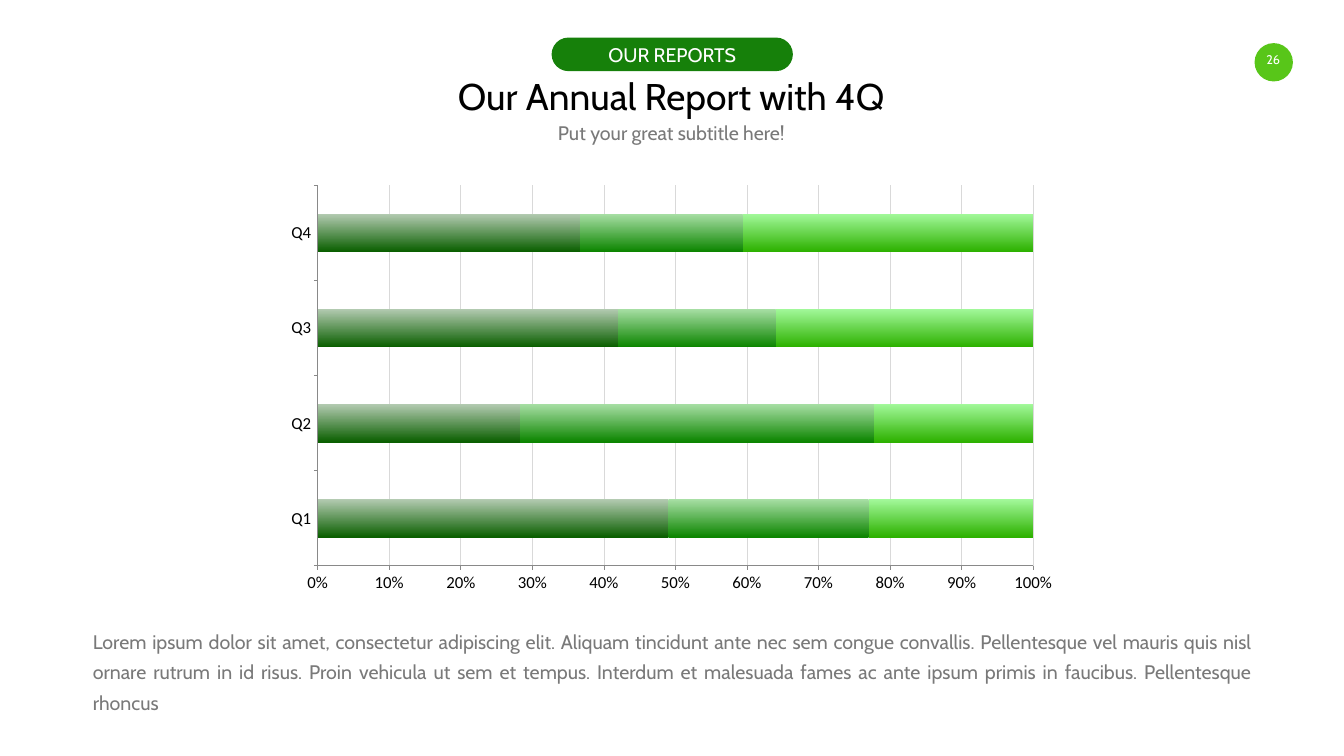
from dataclasses import dataclass

from lxml import etree
from pptx import Presentation
from pptx.chart.data import CategoryChartData
from pptx.dml.color import RGBColor
from pptx.enum.chart import XL_CHART_TYPE, XL_TICK_MARK
from pptx.enum.shapes import MSO_SHAPE
from pptx.enum.text import MSO_ANCHOR, PP_ALIGN
from pptx.util import Cm, Pt

STACKED_BARS = XL_CHART_TYPE.BAR_STACKED_100
TICK_OUT = XL_TICK_MARK.OUTSIDE
PILL, DISC = MSO_SHAPE.ROUNDED_RECTANGLE, MSO_SHAPE.OVAL
TOP, MIDDLE = MSO_ANCHOR.TOP, MSO_ANCHOR.MIDDLE
CENTER, JUSTIFY = PP_ALIGN.CENTER, PP_ALIGN.JUSTIFY

COLORS = {
    "ink": "000000",
    "muted": "797979",
    "white": "FFFFFF",
    "green": "16800A",
    "lime": "58C619",
    "grid": "D9D9D9",
    "axis": "898989",
}
HEADING_FONT, CHART_FONT = "Cabin", "Calibri"

QUARTERS = ["Q1", "Q2", "Q3", "Q4"]
SERIES = {
    "Series 1": ([49, 28, 42, 37], "B4CBB2", "0A5F00"),
    "Series 2": ([28, 49, 22, 23], "A8DFA5", "0C8500"),
    "Series 3": ([23, 22, 36, 41], "A3F99B", "2DB100"),
}
SUMMARY = (
    "Lorem ipsum dolor sit amet, consectetur adipiscing elit. Aliquam tincidunt ante nec sem "
    "congue convallis. Pellentesque vel mauris quis nisl ornare rutrum in id risus. Proin "
    "vehicula ut sem et tempus. Interdum et malesuada fames ac ante ipsum primis in faucibus. "
    "Pellentesque rhoncus"
)


@dataclass
class Box:
    left: float
    top: float
    width: float
    height: float

    def inner(self, left, top, width, height):
        return Box(self.left + left, self.top + top, width, height)

    def emu(self):
        return [Cm(side) for side in (self.left, self.top, self.width, self.height)]


def rgb(name):
    return RGBColor.from_string(COLORS[name])


def set_all(target, values):
    for name, value in values.items():
        setattr(target, name, value)


def write(shape, text, size, color, margins=(0.51, 0.25), anchor=MIDDLE, **paragraph_format):
    frame = shape.text_frame
    across, down = (Cm(margin) for margin in margins)
    set_all(frame, {
        "word_wrap": True,
        "vertical_anchor": anchor,
        "margin_left": across,
        "margin_right": across,
        "margin_top": down,
        "margin_bottom": down,
    })
    paragraph = frame.paragraphs[0]
    set_all(paragraph, {"alignment": CENTER, **paragraph_format})
    run = paragraph.add_run()
    run.text = text
    set_all(run.font, {"name": HEADING_FONT, "size": Pt(size)})
    run.font.color.rgb = rgb(color)


def add_text(slide, box, *content, **text_format):
    write(slide.shapes.add_textbox(*box.emu()), *content, **text_format)


def add_filled(slide, kind, box, color):
    shape = slide.shapes.add_shape(kind, *box.emu())
    shape.shadow.inherit = False
    shape.fill.solid()
    shape.fill.fore_color.rgb = rgb(color)
    shape.line.fill.background()
    return shape


def add_page_badge(slide, box):
    add_filled(slide, DISC, box.inner(0.4, 0.16, 1.45, 1.45), "lime")
    add_text(slide, box, "26", 13.5, "white", margins=(0.69, 0.33))


def add_header(slide, box):
    tag = add_filled(slide, PILL, box.inner(12.95, 0, 9.12, 1.27), "green")
    tag.adjustments[0] = 0.5
    write(tag, "OUR REPORTS", 21, "white", margins=(0.25, 0))
    add_text(slide, box.inner(0, 1.32, box.width, 1.78),
             "Our Annual Report with 4Q", 39.8, "ink")
    add_text(slide, box.inner(0, 2.92, box.width, 1.63),
             "Put your great subtitle here!", 21, "muted", anchor=TOP, space_before=Pt(4))


def add_quarter_chart(slide, box):
    data = CategoryChartData(number_format="General")
    data.categories = QUARTERS
    for name, (values, _, _) in SERIES.items():
        data.add_series(name, values)
    chart = slide.shapes.add_chart(STACKED_BARS, *box.emu(), data).chart
    set_all(chart, {"has_legend": False, "has_title": False})
    set_all(chart.font, {"name": CHART_FONT, "size": Pt(18)})
    chart.font.color.rgb = rgb("ink")

    bars = chart.plots[0]
    set_all(bars, {"gap_width": 150, "overlap": 100, "vary_by_categories": False})
    for series, (_, light, dark) in zip(bars.series, SERIES.values()):
        series.invert_if_negative = False
        fill = series.format.fill
        fill.gradient()
        fill.gradient_angle = 270
        for stop, color, position in zip(fill.gradient_stops, (light, dark), (0, 1)):
            stop.color.rgb = RGBColor.from_string(color)
            stop.position = position

    for axis in (chart.category_axis, chart.value_axis):
        set_all(axis, {"major_tick_mark": TICK_OUT})
        set_all(axis.tick_labels.font, {"name": CHART_FONT, "size": Pt(18)})
        axis.tick_labels.font.color.rgb = rgb("ink")
        axis.format.line.color.rgb = rgb("axis")
        axis.format.line.width = Pt(0.75)
    percent = chart.value_axis
    set_all(percent, {"has_major_gridlines": True})
    set_all(percent.tick_labels, {"number_format": "0%", "number_format_is_linked": False})
    percent.major_gridlines.format.line.color.rgb = rgb("grid")
    percent.major_gridlines.format.line.width = Pt(0.75)


def add_summary(slide, box):
    add_text(slide, box, SUMMARY, 21, "muted", alignment=JUSTIFY, line_spacing=1.3)


def main():
    deck = Presentation()
    set_all(deck, {"slide_width": Cm(50.8), "slide_height": Cm(28.58)})
    slide = deck.slides.add_slide(deck.slide_layouts[6])
    add_page_badge(slide, Box(47.02, 1.47, 2.21, 1.52))
    add_quarter_chart(slide, Box(10.41, 6.68, 29.95, 16.05))
    add_header(slide, Box(7.9, 1.42, 34.95, 4.55))
    add_summary(slide, Box(3, 23.27, 44.81, 4.01))
    deck.save("out.pptx")


if __name__ == "__main__":
    main()
